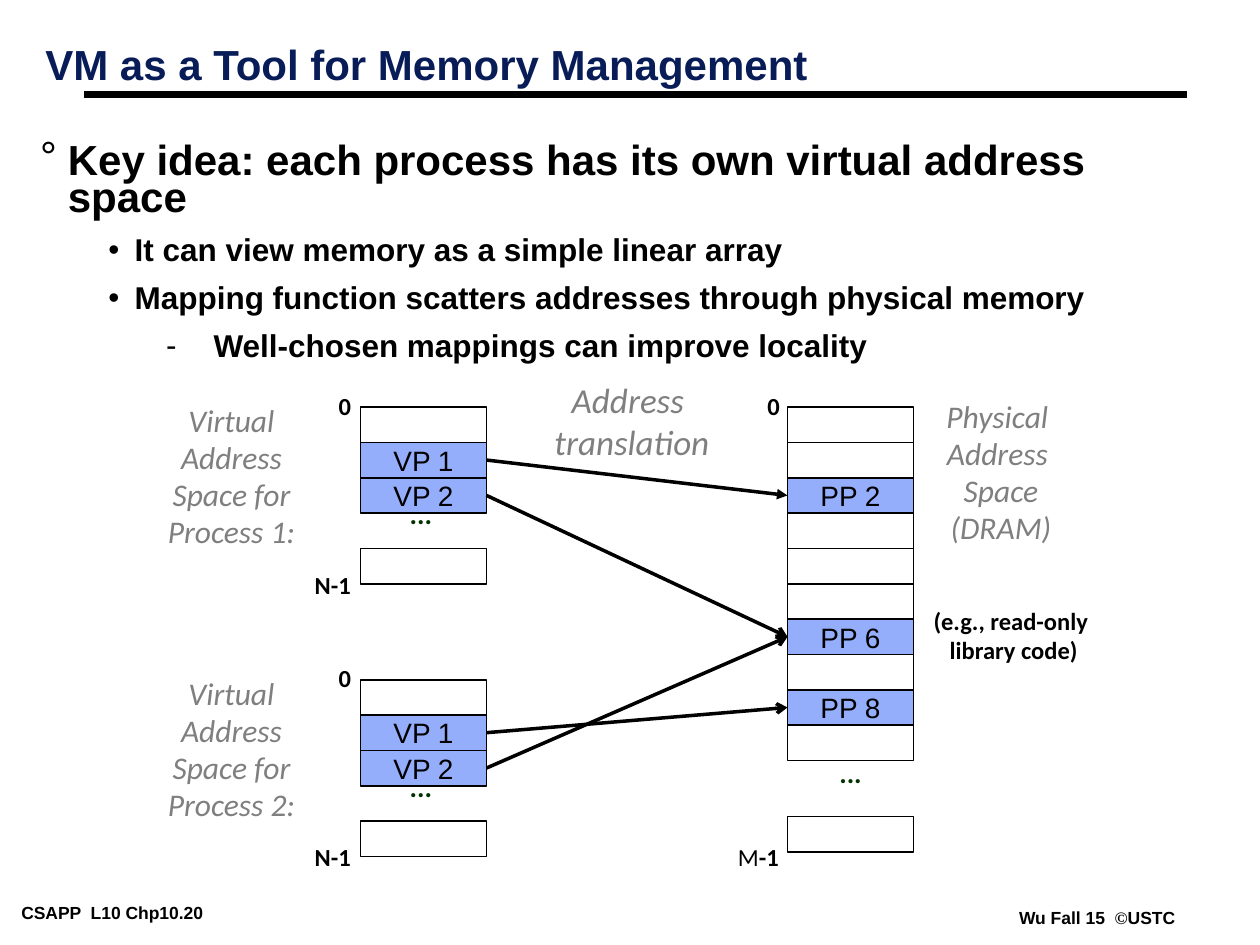
from dataclasses import dataclass

from lxml import etree
from pptx import Presentation
from pptx.dml.color import RGBColor
from pptx.enum.shapes import MSO_CONNECTOR, MSO_SHAPE
from pptx.enum.text import MSO_ANCHOR, MSO_AUTO_SIZE, PP_ALIGN
from pptx.oxml.ns import qn
from pptx.util import Pt

LEFT, CENTER = PP_ALIGN.LEFT, PP_ALIGN.CENTER
TOP, MIDDLE = MSO_ANCHOR.TOP, MSO_ANCHOR.MIDDLE
GROW = MSO_AUTO_SIZE.SHAPE_TO_FIT_TEXT
FIXED = MSO_AUTO_SIZE.NONE
STRAIGHT = MSO_CONNECTOR.STRAIGHT
RECTANGLE = MSO_SHAPE.RECTANGLE

BLACK, GRAY, NAVY = "000000", "7F7F7F", "081D58"
GREEN, PAGE_BLUE = "003300", "95AEFC"

PAGE_WIDTH, PAGE_HEIGHT = 72, 20.2
VIRTUAL_LEFT, PHYSICAL_LEFT = 206, 450
MEMORY_TOP, PROCESS_STEP = 232.6, 155.8


@dataclass
class Style:
    size: float
    color: str = BLACK
    bold: bool = False
    italic: bool = False
    font: str = "Calibri"
    spacing: float = 0.98
    align: PP_ALIGN = CENTER
    margins: tuple = (7.2, 3.6)


@dataclass
class Label:
    text: str
    left: float
    top: float
    width: float
    height: float
    style: Style
    wrap: bool = False


@dataclass
class Bullet:
    text: str
    mark: str
    size: float
    margin: float
    hanging: float
    spacing: float
    before: float


@dataclass
class Mapping:
    process: int
    virtual_page: int
    physical_page: int
    head: str = "arrow"


CAPTION = Style(18, GRAY, italic=True)
TRANSLATION = Style(20, GRAY, italic=True, spacing=1)
ADDRESS = Style(14, bold=True)
PLAIN_ADDRESS = Style(14)
ELLIPSIS = Style(16, GREEN, bold=True, spacing=0.88)
PAGE = Style(16, font="Arial", spacing=1)
TITLE = Style(24, NAVY, True, font="Arial", spacing=0.87, align=LEFT, margins=(5, 2.2))
FOOTER = Style(10, bold=True, font="Arial", spacing=1, align=LEFT, margins=(5, 2.2))

BULLETS = [
    Bullet("Key idea: each process has its own virtual address space",
           "°", 24, 15.8, 15.8, 0.75, 0),
    Bullet("It can view memory as a simple linear array", "•", 18, 54, 15, 0.85, 9),
    Bullet("Mapping function scatters addresses through physical memory",
           "•", 18, 54, 15, 0.85, 9),
    Bullet("Well-chosen mappings can improve locality", "-", 18, 99, 27, 0.85, 9),
]
VIRTUAL_PAGES = {0: "", 1: "VP 1", 2: "VP 2", 4: ""}
PHYSICAL_PAGES = {row: "" for row in range(10)} | {2: "PP 2", 6: "PP 6", 8: "PP 8"}
MAPPINGS = [Mapping(0, 1, 2, "triangle"), Mapping(0, 2, 6),
            Mapping(1, 2, 6), Mapping(1, 1, 8)]


def rgb(color: str) -> RGBColor:
    return RGBColor.from_string(color)


def style_run(run, style: Style) -> None:
    font = run.font
    font.size, font.name = Pt(style.size), style.font
    font.bold, font.italic = style.bold, style.italic
    font.color.rgb = rgb(style.color)


def fill_frame(frame, text: str, style: Style, anchor=TOP) -> None:
    frame.text = text
    frame.vertical_anchor = anchor
    frame.margin_left = frame.margin_right = Pt(style.margins[0])
    frame.margin_top = frame.margin_bottom = Pt(style.margins[1])
    for paragraph in frame.paragraphs:
        paragraph.alignment = style.align
        paragraph.line_spacing = style.spacing
        for run in paragraph.runs:
            style_run(run, style)


def add_label(slide, label: Label):
    box = slide.shapes.add_textbox(Pt(label.left), Pt(label.top),
                                   Pt(label.width), Pt(label.height))
    frame = box.text_frame
    fill_frame(frame, label.text, label.style)
    frame.word_wrap = label.wrap
    frame.auto_size = GROW
    return frame.paragraphs[0]


def append_run(paragraph, text: str, style: Style) -> None:
    run = paragraph.add_run()
    run.text = text
    style_run(run, style)


def add_title(slide, text: str) -> None:
    title = slide.shapes.title
    title.left, title.top, title.width, title.height = Pt(20.9), Pt(23.8), Pt(678), Pt(45.4)
    fill_frame(title.text_frame, text, TITLE)
    title.text_frame.auto_size = FIXED


def add_bullets(slide, bullets: list[Bullet]) -> None:
    box = slide.shapes.add_textbox(Pt(18), Pt(80.6), Pt(618.5), Pt(129.6))
    frame = box.text_frame
    frame.word_wrap = True
    frame.margin_left = frame.margin_right = Pt(5)
    frame.margin_top = frame.margin_bottom = Pt(2.2)
    for index, bullet in enumerate(bullets):
        paragraph = frame.add_paragraph() if index else frame.paragraphs[0]
        paragraph.text = bullet.text
        properties = paragraph._p.get_or_add_pPr()
        properties.set("marL", str(Pt(bullet.margin)))
        properties.set("indent", str(-Pt(bullet.hanging)))
        mark_color = etree.SubElement(properties, qn("a:buClr"))
        etree.SubElement(mark_color, qn("a:srgbClr"), val=BLACK)
        etree.SubElement(properties, qn("a:buFont"), typeface="Arial")
        etree.SubElement(properties, qn("a:buChar"), char=bullet.mark)
        paragraph.line_spacing = bullet.spacing
        paragraph.space_before = Pt(bullet.before)
        style_run(paragraph.runs[0], Style(bullet.size, bold=True, font="Arial"))


def add_page(slide, left: float, top: float, name: str) -> None:
    page = slide.shapes.add_shape(RECTANGLE, Pt(left), Pt(top),
                                  Pt(PAGE_WIDTH), Pt(PAGE_HEIGHT))
    page.shadow.inherit = False
    page.line.color.rgb = rgb(BLACK)
    page.line.width = Pt(1)
    if name:
        page.fill.solid()
        page.fill.fore_color.rgb = rgb(PAGE_BLUE)
        fill_frame(page.text_frame, name, PAGE, MIDDLE)
    else:
        page.fill.background()


def add_memory(slide, left: float, top: float, pages: dict[int, str]) -> None:
    for row, name in pages.items():
        add_page(slide, left, top + row * PAGE_HEIGHT, name)


def add_line(slide, start: tuple, end: tuple, width: float, head: str = "none") -> None:
    line = slide.shapes.add_connector(STRAIGHT, *map(Pt, start + end))
    line.line.color.rgb = rgb(BLACK)
    line.line.width = Pt(width)
    etree.SubElement(line.line._get_or_add_ln(), qn("a:tailEnd"), type=head)
    etree.SubElement(line._element.spPr, qn("a:effectLst"))


def add_process(slide, number: int) -> None:
    shift = number * PROCESS_STEP
    add_memory(slide, VIRTUAL_LEFT, MEMORY_TOP + shift, VIRTUAL_PAGES)
    for label in (
        Label(f"Virtual Address Space for Process {number + 1}:",
              78.3, 226.8 + shift, 108, 91.4, CAPTION, True),
        Label("0", 186.2, 220.6 + shift, 21.6, 23.8, ADDRESS),
        Label("N-1", 172.5, 322.9 + shift, 35.3, 23.8, ADDRESS),
        Label("...", 226.8, 282.8 + shift, 27.4, 23.8, ELLIPSIS),
    ):
        add_label(slide, label)


def add_mapping(slide, mapping: Mapping) -> None:
    first_middle = MEMORY_TOP + PAGE_HEIGHT / 2
    start_y = first_middle + mapping.process * PROCESS_STEP + mapping.virtual_page * PAGE_HEIGHT
    end_y = first_middle + mapping.physical_page * PAGE_HEIGHT
    add_line(slide, (VIRTUAL_LEFT + PAGE_WIDTH, start_y), (PHYSICAL_LEFT, end_y), 2, mapping.head)


def main() -> None:
    deck = Presentation()
    deck.slide_width, deck.slide_height = Pt(720), Pt(540)
    slide = deck.slides.add_slide(deck.slide_layouts[5])

    add_line(slide, (48.2, 54), (678.2, 54), 4.5)
    add_title(slide, "VM as a Tool for Memory Management")
    add_bullets(slide, BULLETS)

    for number in range(2):
        add_process(slide, number)
    add_memory(slide, PHYSICAL_LEFT, MEMORY_TOP, PHYSICAL_PAGES)
    add_page(slide, PHYSICAL_LEFT, 466.6, "")
    for mapping in MAPPINGS:
        add_mapping(slide, mapping)

    for label in (
        Label("Physical \nAddress \nSpace (DRAM)", 529.9, 224.6, 84.2, 91.4, CAPTION, True),
        Label("(e.g., read-only \nlibrary code)", 522, 343.4, 114.5, 39.6, ADDRESS, True),
        Label("Address \ntranslation", 309.6, 212.6, 103, 55.4, TRANSLATION),
        Label("...", 472.3, 430.6, 27.4, 23.8, ELLIPSIS),
        Label("0", 431.3, 220.6, 21.6, 23.8, ADDRESS),
        Label("CSAPP  L10 Chp10.20", 7.2, 513.2, 151.2, 15.8, FOOTER),
    ):
        add_label(slide, label)

    last_address = add_label(slide, Label("M", 408.4, 478.3, 50, 23.8, PLAIN_ADDRESS))
    append_run(last_address, "-1", ADDRESS)
    credit = add_label(slide, Label("Wu Fall 15  ", 577.4, 516.2, 105, 15.8, FOOTER))
    append_run(credit, "©", Style(10, bold=True, font="Times New Roman"))
    append_run(credit, "USTC", FOOTER)

    deck.save("out.pptx")


if __name__ == "__main__":
    main()
